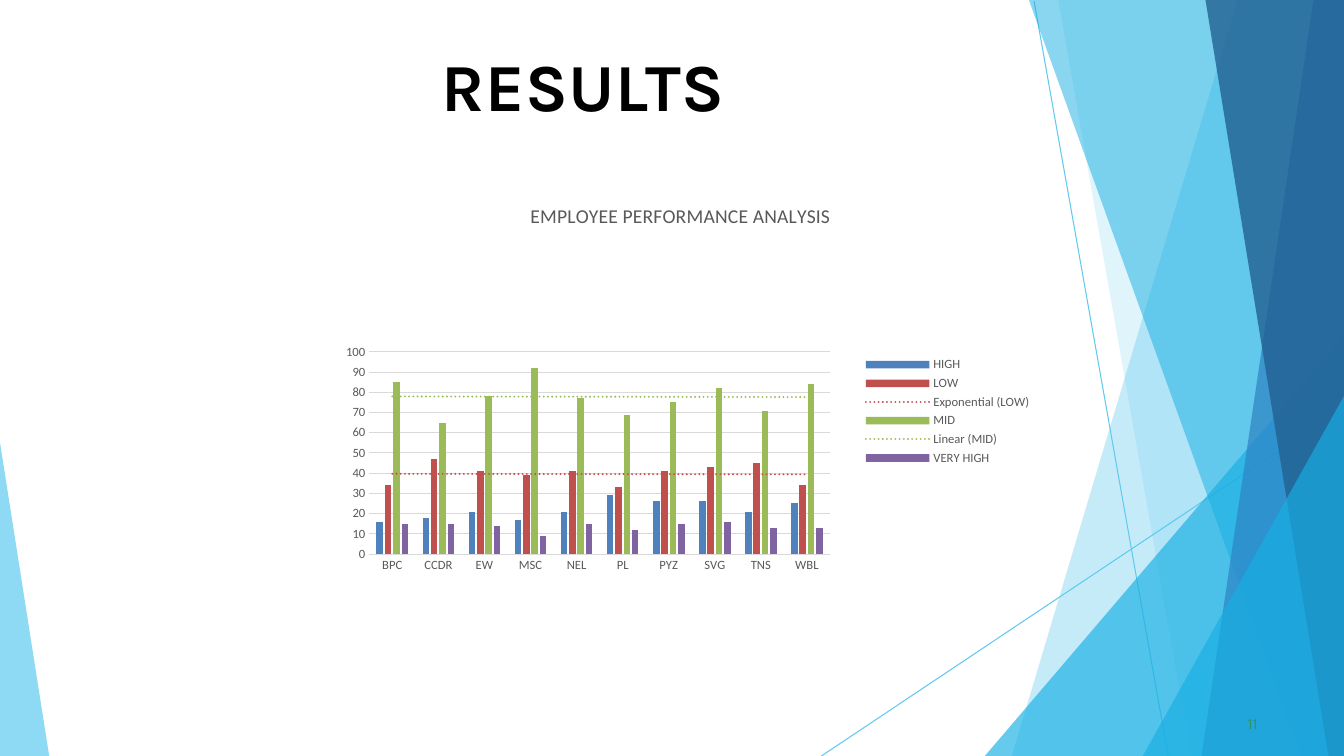
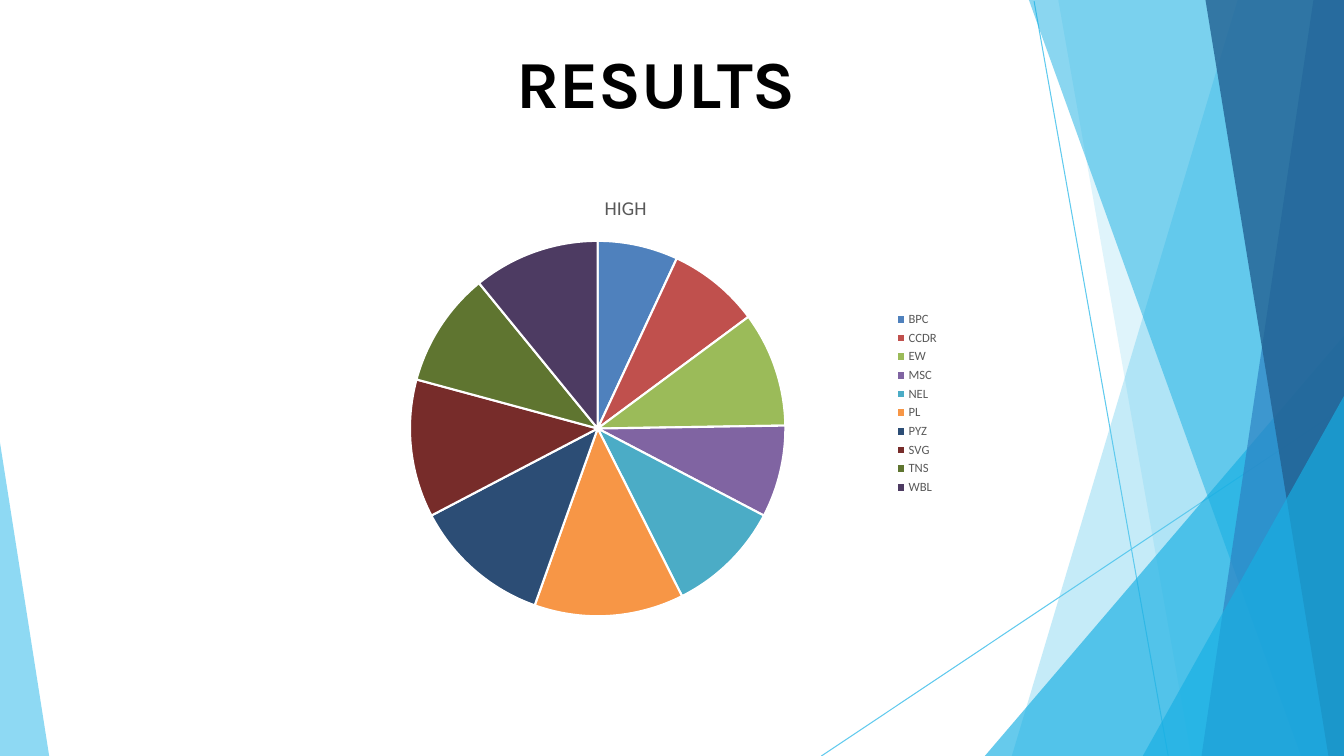
from lxml import etree
from pptx import Presentation
from pptx.chart.data import CategoryChartData
from pptx.dml.color import RGBColor
from pptx.enum.chart import XL_CHART_TYPE, XL_LEGEND_POSITION, XL_TICK_MARK
from pptx.enum.shapes import MSO_CONNECTOR
from pptx.enum.text import PP_ALIGN
from pptx.oxml import parse_xml
from pptx.oxml.ns import nsdecls, qn
from pptx.util import Cm, Pt

COLUMNS, PIE = XL_CHART_TYPE.COLUMN_CLUSTERED, XL_CHART_TYPE.PIE
LEGEND_RIGHT = XL_LEGEND_POSITION.RIGHT
NO_TICK = XL_TICK_MARK.NONE
STRAIGHT = MSO_CONNECTOR.STRAIGHT
LEFT, CENTER = PP_ALIGN.LEFT, PP_ALIGN.CENTER

WIDTH, HEIGHT = 33.87, 19.05
SKY, CYAN, BLUE, NAVY = "5FCAEE", "17AFE3", "2D83C3", "226192"
BLACK, WHITE, GREEN = "000000", "FFFFFF", "2D936B"
GRAY, GRID = "595959", "D9D9D9"
SLICE_COLORS = ["4F81BD", "C0504D", "9BBB59", "8064A2", "4BACC6",
                "F79646", "2C4D75", "772C2A", "5F7530", "4D3B62"]

RAYS = [(26.06, 0.03, 29.44, HEIGHT), (WIDTH, 10.26, 20.7, HEIGHT)]


def right_band(top, bottom):
    return [(WIDTH, 0), (top, 0), (bottom, HEIGHT), (WIDTH, HEIGHT)]


def right_corner(top, bottom):
    return [(WIDTH, top), (bottom, HEIGHT), (WIDTH, HEIGHT)]


SHARDS = [
    (right_band(31.19, 25.5), SKY, 36),
    (right_band(26.67, 30.02), SKY, 20),
    (right_corner(8.46, 24.82), CYAN, 66),
    (right_band(25.93, 32.79), CYAN, 50),
    (right_band(33.1, 30.28), BLUE, 70),
    (right_band(30.38, 33.48), NAVY, 80),
    (right_corner(9.98, 28.8), CYAN, 66),
    ([(0, 11.15), (0, HEIGHT), (1.24, HEIGHT)], SKY, 70),
]

UNITS = ["BPC", "CCDR", "EW", "MSC", "NEL", "PL", "PYZ", "SVG", "TNS", "WBL"]
RATINGS = {
    "HIGH": [16, 18, 21, 17, 21, 29, 26, 26, 21, 25],
    "LOW": [34, 47, 41, 39, 41, 33, 41, 43, 45, 34],
    "MID": [85, 65, 78, 92, 77, 69, 75, 82, 71, 84],
    "VERY HIGH": [15, 15, 14, 9, 15, 12, 15, 16, 13, 13],
}
SHARES = {name: [round(100 * value / sum(values)) for value in values]
          for name, values in RATINGS.items()}
TRENDS = {"LOW": "exp", "MID": "linear"}


def rgb(value):
    return RGBColor.from_string(value)


def chart_data(table):
    data = CategoryChartData()
    data.categories = UNITS
    for name, values in table.items():
        data.add_series(name, values)
    return data


class Deck:
    text_font = "Karla"
    chart_font = "Calibri"

    def __init__(self):
        self.presentation = Presentation()
        self.presentation.slide_width = Cm(WIDTH)
        self.presentation.slide_height = Cm(HEIGHT)
        self.slide = None

    def add_slide(self):
        self.slide = self.presentation.slides.add_slide(self.presentation.slide_layouts[6])
        for ray in RAYS:
            self.line(*ray)
        for points, color, opacity in SHARDS:
            self.shard(points, color, opacity)

    def line(self, *ends):
        connector = self.slide.shapes.add_connector(STRAIGHT, *map(Cm, ends))
        connector.line.color.rgb = rgb(SKY)
        connector.line.width = Pt(0.75)
        etree.SubElement(connector._element.spPr, qn("a:effectLst"))

    def shard(self, points, color, opacity):
        start, *others = [(Cm(x), Cm(y)) for x, y in points]
        builder = self.slide.shapes.build_freeform(*start)
        builder.add_line_segments(others, close=True)
        shape = builder.convert_to_shape()
        shape.shadow.inherit = False
        shape.line.fill.background()
        shape.fill.solid()
        shape.fill.fore_color.rgb = rgb(color)
        fill_color = shape._element.spPr.find(qn("a:solidFill"))[0]
        etree.SubElement(fill_color, qn("a:alpha")).set("val", str(opacity * 1000))

    def text(self, content, box, size, color, bold=False, alignment=LEFT, spacing=0):
        shape = self.slide.shapes.add_textbox(*map(Cm, box))
        frame = shape.text_frame
        frame.word_wrap = True
        frame.margin_left = frame.margin_right = 0
        frame.margin_top = frame.margin_bottom = 0
        paragraph = frame.paragraphs[0]
        paragraph.alignment = alignment
        run = paragraph.add_run()
        run.text = content
        self.style(run.font, size, color, self.text_font, bold)
        if spacing:
            run._r.get_or_add_rPr().set("spc", str(spacing))

    def style(self, font, size, color, name, bold=False):
        font.size = Pt(size)
        font.name = name
        font.bold = bold
        font.color.rgb = rgb(color)

    def title(self, content, left, top, width, spacing=0):
        self.text(content, (left, top, width, 2.1), 48, BLACK, True, CENTER, spacing)

    def page_number(self, number):
        self.text(number, (31.44, 18, 0.8, 0.53), 11, GREEN)

    def chart(self, kind, box, title, data):
        chart = self.slide.shapes.add_chart(kind, *map(Cm, box), data).chart
        self.style(chart.font, 10, BLACK, self.chart_font)
        chart.has_title = True
        run = chart.chart_title.text_frame.paragraphs[0].add_run()
        run.text = title
        self.style(run.font, 14, GRAY, self.chart_font)
        chart.has_legend = True
        chart.legend.position = LEGEND_RIGHT
        chart.legend.include_in_layout = False
        self.style(chart.legend.font, 9, GRAY, self.chart_font)
        return chart

    def column_chart(self, box, title, table, plot_percent):
        chart = self.chart(COLUMNS, box, title, chart_data(table))
        plot = chart.plots[0]
        plot.vary_by_categories = False
        plot.gap_width, plot.overlap = 219, -27
        for series, color in zip(plot.series, SLICE_COLORS):
            series.format.fill.solid()
            series.format.fill.fore_color.rgb = rgb(color)
            if series.name in TRENDS:
                self.trend(series, TRENDS[series.name], color)
        for axis in (chart.category_axis, chart.value_axis):
            axis.major_tick_mark = axis.minor_tick_mark = NO_TICK
            self.style(axis.tick_labels.font, 9, GRAY, self.chart_font)
        values = chart.value_axis
        values.minimum_scale, values.maximum_scale, values.major_unit = 0, 100, 10
        values.format.line.fill.background()
        for line in (chart.category_axis.format.line, values.major_gridlines.format.line):
            line.color.rgb = rgb(GRID)
            line.width = Pt(0.75)
        self.place_plot(chart, plot_percent)

    def trend(self, series, kind, color):
        trend = parse_xml(
            f'<c:trendline {nsdecls("c", "a")}><c:spPr><a:ln w="{Pt(1.5)}" cap="rnd">'
            f'<a:solidFill><a:srgbClr val="{color}"/></a:solidFill>'
            '<a:prstDash val="sysDot"/></a:ln></c:spPr>'
            f'<c:trendlineType val="{kind}"/><c:dispRSqr val="0"/><c:dispEq val="0"/>'
            '</c:trendline>')
        series._element.find(qn("c:cat")).addprevious(trend)

    def place_plot(self, chart, plot_percent):
        area = chart._chartSpace.find(".//" + qn("c:plotArea"))
        for layout in area.findall(qn("c:layout")):
            area.remove(layout)
        sizes = "".join(f'<c:{key} val="{value / 100:.3f}"/>'
                        for key, value in zip("xywh", plot_percent))
        area.insert(0, parse_xml(
            f'<c:layout {nsdecls("c")}><c:manualLayout><c:layoutTarget val="inner"/>'
            f'<c:xMode val="edge"/><c:yMode val="edge"/>{sizes}</c:manualLayout></c:layout>'))

    def pie_chart(self, box, title, table):
        data = chart_data(table)
        chart = self.chart(PIE, box, title, data)
        plot = chart.plots[0]
        plot.vary_by_categories = True
        for index, color in enumerate(SLICE_COLORS):
            slice_format = plot.series[0].points[index].format
            slice_format.fill.solid()
            slice_format.fill.fore_color.rgb = rgb(color)
            slice_format.line.color.rgb = rgb(WHITE)
            slice_format.line.width = Pt(1.5)
        chart.replace_data(data)


def main():
    deck = Deck()

    deck.add_slide()
    deck.title("RESULTS", 2.1, 1.13, 25.2, spacing=40)
    deck.page_number("11")
    deck.column_chart((8.05, 4.65, 18.2, 11.43), "EMPLOYEE PERFORMANCE ANALYSIS",
                      RATINGS, (6.9, 36.9, 63.8, 44.6))

    deck.add_slide()
    deck.title("RESULTS", 1.7, 1.04, 29.67)
    deck.pie_chart((7.62, 4.45, 16.3, 11.43), "HIGH", SHARES)

    deck.presentation.save("out.pptx")


if __name__ == "__main__":
    main()
